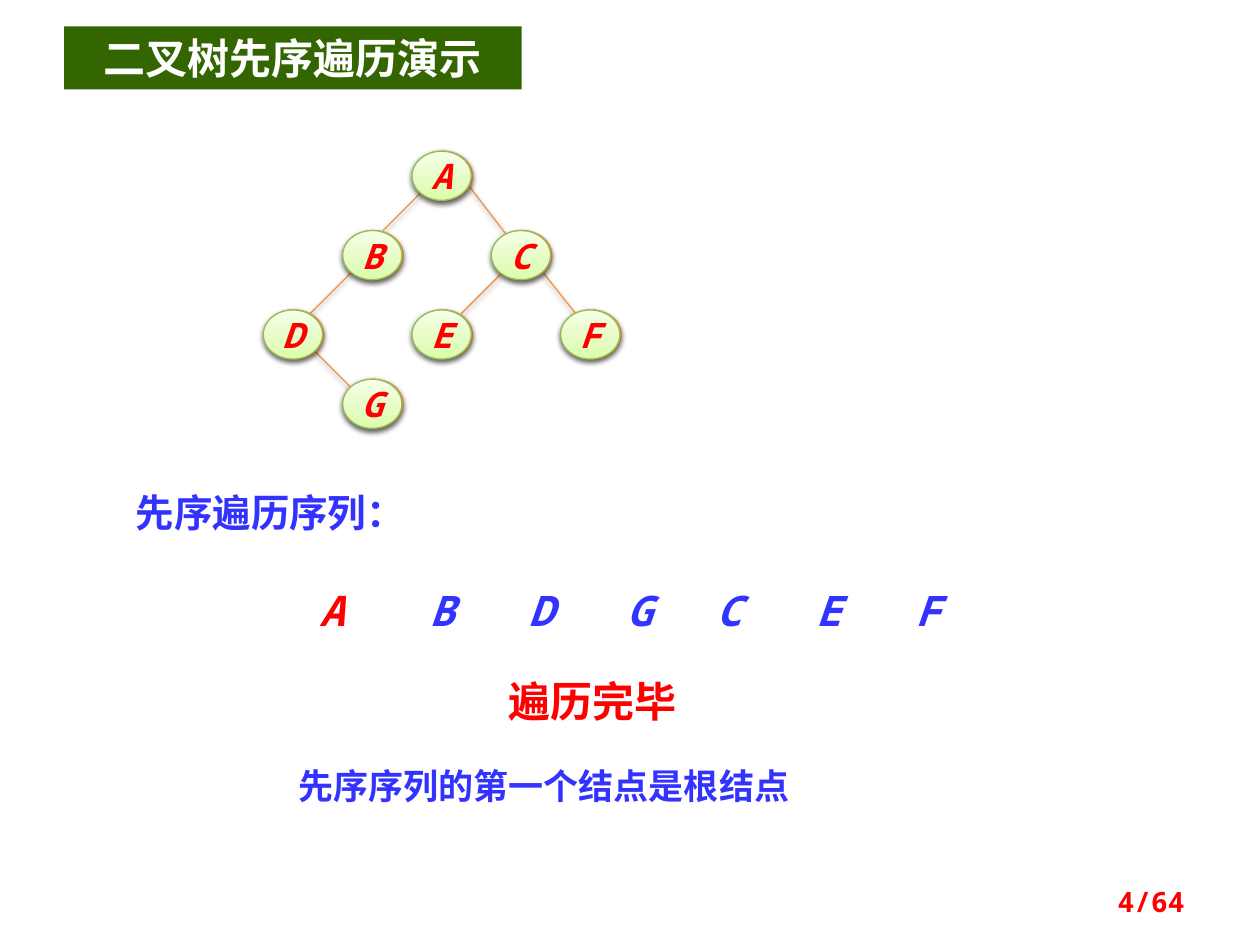
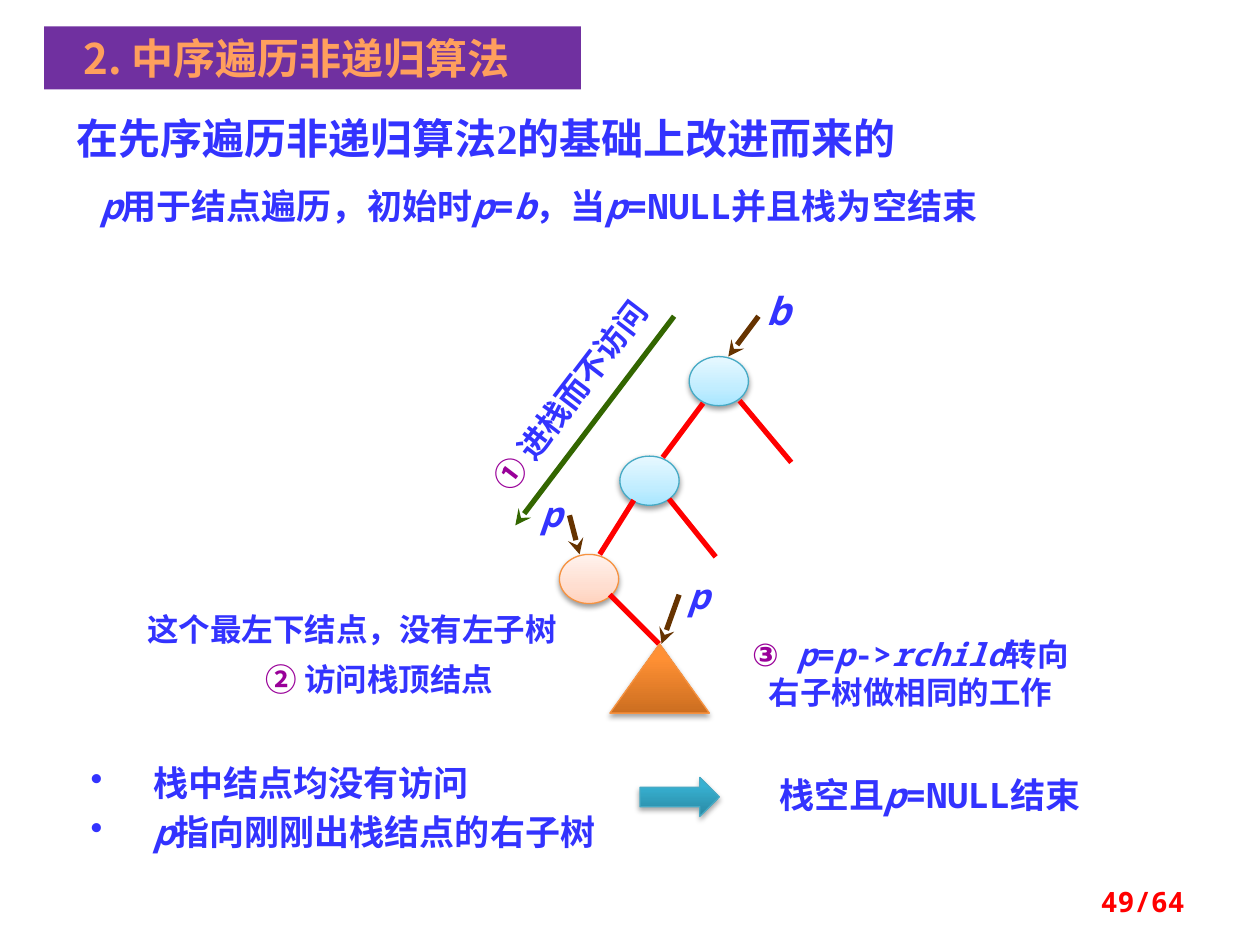
from lxml import etree
from pptx import Presentation
from pptx.dml.color import RGBColor
from pptx.enum import shapes, text
from pptx.oxml.ns import qn
from pptx.util import Inches, Pt

# Shared colours and fonts
BLUE = RGBColor(0x33, 0x33, 0xFF)
RED = RGBColor(0xFF, 0x00, 0x00)
GREEN = RGBColor(0x33, 0x66, 0x00)
BROWN = RGBColor(0x66, 0x33, 0x00)
PURPLE = RGBColor(0x70, 0x30, 0xA0)
MAGENTA = RGBColor(0x99, 0x00, 0x99)
WHITE = RGBColor(0xFF, 0xFF, 0xFF)
ORANGE_LINE = RGBColor(0xF6, 0x92, 0x40)
GREEN_LINE = RGBColor(0x98, 0xB9, 0x55)
CYAN_LINE = RGBColor(0x46, 0xAA, 0xC5)
BLACK = RGBColor(0, 0, 0)

# Gradient stops, from bottom to top: (percent, colour)
ORANGE_PALE = [(0, "FFD2BD"), (35, "FFDED0"), (100, "FFF2ED")]
GREEN_PALE = [(0, "DAFDA7"), (35, "E4FCC2"), (100, "F5FFE7")]
CYAN_PALE = [(0, "A7E6FF"), (35, "C1EDFF"), (100, "E7F8FF")]
ORANGE_DEEP = [(0, "CC6E20"), (80, "FF9034"), (100, "FF9136")]
CYAN_DEEP = [(0, "2A88A2"), (80, "37B1D2"), (100, "34B4D6")]
ORANGE_TEXT = [(0, "FFA367"), (25, "FF9F5D"), (50, "F38E3A"),
               (75, "FF9F5D"), (100, "FFA367")]

MONO = "Noto Sans Mono"
CJK = "Noto Sans CJK SC"
SERIF = "Times New Roman"
LEFT, CENTER, RIGHT = (text.PP_ALIGN.LEFT, text.PP_ALIGN.CENTER,
                       text.PP_ALIGN.RIGHT)
NODE_WIDTH, NODE_HEIGHT = 0.47, 0.39
PAGE_COUNT = 64


def set_gradient(fill, owner, stops, angle=270):
    """Give a fill, held by the XML element owner, several gradient stops."""
    fill.gradient()
    gradient = owner.find(qn("a:gradFill"))
    gradient.find(qn("a:lin")).set("ang", str(angle * 60000))
    stop_list = gradient.find(qn("a:gsLst"))
    for stop in list(stop_list):
        stop_list.remove(stop)
    for percent, color in stops:
        stop = etree.SubElement(stop_list, qn("a:gs"), pos=str(percent * 1000))
        etree.SubElement(stop, qn("a:srgbClr"), val=color)


def set_shadow(shape, opacity=0, blur=3.1, distance=1.6):
    """Set a soft shadow below the shape; no opacity means no shadow."""
    effects = etree.SubElement(shape._element.spPr, qn("a:effectLst"))
    if opacity:
        shadow = etree.SubElement(
            effects, qn("a:outerShdw"), blurRad=str(Pt(blur)),
            dist=str(Pt(distance)), dir="5400000", rotWithShape="0")
        color = etree.SubElement(shadow, qn("a:srgbClr"), val=str(BLACK))
        etree.SubElement(color, qn("a:alpha"), val=str(opacity * 1000))


def set_bullet(paragraph, indent=0.5):
    properties = paragraph._p.get_or_add_pPr()
    properties.set("marL", str(Inches(indent)))
    properties.set("indent", str(-Inches(indent)))
    bullet = etree.Element(qn("a:buChar"), char="•")
    default_font = properties.find(qn("a:defRPr"))
    default_font.addprevious(bullet)


def write(paragraph, content, size, color=BLUE, font=MONO, align=LEFT,
          bold=True, spacing=None):
    """Fill a paragraph; *stars* mean italic, a circled number is magenta."""
    paragraph.alignment = align
    if spacing:
        paragraph.line_spacing = spacing
    paragraph.font.name = font
    paragraph.font.size = Pt(size)
    paragraph.font.bold = bold
    paragraph.font.color.rgb = color
    if content[0] in "①②③":
        marker, content = content[:2], content[2:]
        run = paragraph.add_run()
        run.text = marker
        run.font.color.rgb = MAGENTA
    for index, part in enumerate(content.split("*")):
        if part:
            run = paragraph.add_run()
            run.text = part
            if index % 2:
                run.font.italic = True
    for latin in list(paragraph._p.iter(qn("a:latin"))):
        latin.addnext(etree.Element(qn("a:ea"), typeface=CJK))


def add_text(slide, box, content, size, margins=True, bullets=False,
             anchor=text.MSO_ANCHOR.TOP, **style):
    shape = slide.shapes.add_textbox(*map(Inches, box))
    frame = shape.text_frame
    frame.word_wrap = True
    frame.vertical_anchor = anchor
    if not margins:
        frame.margin_left = frame.margin_right = 0
        frame.margin_top = frame.margin_bottom = 0
    for index, line in enumerate(content.split("\n")):
        paragraph = frame.add_paragraph() if index else frame.paragraphs[0]
        write(paragraph, line, size, **style)
        if bullets:
            set_bullet(paragraph)
    return shape


def add_shape(slide, kind, box, stops, line_color, opacity=38, distance=1.6):
    shape = slide.shapes.add_shape(kind, *map(Inches, box))
    set_gradient(shape.fill, shape._element.spPr, stops)
    shape.line.color.rgb = line_color
    shape.line.width = Pt(0.75)
    set_shadow(shape, opacity, distance=distance)
    return shape


def add_node(slide, left, top, stops, line_color, label=""):
    box = (left, top, NODE_WIDTH, NODE_HEIGHT)
    node = add_shape(slide, shapes.MSO_SHAPE.OVAL, box, stops, line_color)
    if label:
        node.text_frame.word_wrap = False
        node.text_frame.vertical_anchor = text.MSO_ANCHOR.MIDDLE
        write(node.text_frame.paragraphs[0], f"*{label}*", 20, RED,
              align=CENTER)


def add_line(slide, points, color, width=3, arrow=False, opacity=0):
    line = slide.shapes.add_connector(
        shapes.MSO_CONNECTOR.STRAIGHT, *map(Inches, points))
    line.line.color.rgb = color
    line.line.width = Pt(width)
    if arrow:
        outline = line._element.spPr.find(qn("a:ln"))
        etree.SubElement(outline, qn("a:tailEnd"), type="stealth")
    set_shadow(line, opacity)


def add_slide(presentation, title, left, width, band, page):
    """Add a slide with its title band and page number."""
    slide = presentation.slides.add_slide(presentation.slide_layouts[5])
    shape = slide.shapes.title
    shape.left, shape.top = Inches(left), Inches(0.21)
    shape.width, shape.height = Inches(width), Inches(0.5)
    shape.fill.solid()
    shape.fill.fore_color.rgb = band
    frame = shape.text_frame
    frame.auto_size = text.MSO_AUTO_SIZE.NONE
    frame.vertical_anchor = text.MSO_ANCHOR.MIDDLE
    write(frame.paragraphs[0], title, 24, WHITE, CJK, CENTER)
    add_text(slide, (7.17, 6.95, 2.33, 0.4), f"{page}/{PAGE_COUNT}", 16,
             color=RED, align=RIGHT, anchor=text.MSO_ANCHOR.MIDDLE)
    return slide


def build_preorder(presentation):
    slide = add_slide(presentation, "二叉树先序遍历演示", 0.51, 3.63, GREEN, 4)

    # Tree edges
    for points in [(2.49, 2.78, 2.8, 3.09), (3.35, 1.52, 3.04, 1.83),
                   (3.71, 1.46, 4.04, 1.89), (2.8, 2.15, 2.41, 2.54),
                   (3.97, 2.18, 3.66, 2.49), (4.3, 2.15, 4.61, 2.54)]:
        add_line(slide, points, ORANGE_LINE, 0.75, opacity=38)

    # Tree nodes: a green face on an orange rim
    nodes = {"A": (3.27, 1.2), "B": (2.72, 1.83), "C": (3.9, 1.83),
             "D": (2.09, 2.46), "E": (3.27, 2.46), "G": (2.72, 3.01),
             "F": (4.45, 2.46)}
    for label, (left, top) in nodes.items():
        add_node(slide, left + 0.01, top, ORANGE_PALE, ORANGE_LINE)
        add_node(slide, left, top, GREEN_PALE, GREEN_LINE, label)

    # Visiting order
    add_text(slide, (0.98, 3.83, 2.84, 0.47), "先序遍历序列：", 22)
    sequence = {"A": 2.24, "B": 3.11, "D": 3.9, "G": 4.68, "C": 5.39,
                "E": 6.18, "F": 6.97}
    for label, left in sequence.items():
        add_text(slide, (left, 4.59, 0.79, 0.5), f"*{label}*", 24,
                 color=RED if label == "A" else BLUE, align=CENTER)

    # Conclusion
    add_text(slide, (3.36, 5.31, 2.68, 0.5), "遍历完毕", 24, color=RED,
             align=CENTER)
    add_text(slide, (2.27, 6.02, 5, 0.44), "先序序列的第一个结点是根结点", 20,
             font=CJK)


def build_inorder(presentation):
    slide = add_slide(presentation, "2. 中序遍历非递归算法", 0.35, 4.26,
                      PURPLE, 49)
    title = slide.shapes.title.text_frame
    title.margin_right = Inches(0.35)
    run = title.paragraphs[0].runs[0]
    set_gradient(run.font.fill, run._r.rPr, ORANGE_TEXT, 90)

    # Introduction
    add_text(slide, (0.51, 0.84, 6.93, 0.5),
             "在先序遍历非递归算法2的基础上改进而来的", 24, font=SERIF)
    add_text(slide, (0.7, 1.48, 8.31, 0.37),
             "*p*用于结点遍历，初始时*p*=*b*，当*p*=NULL并且栈为空结束", 20,
             spacing=0.8)

    # Tree
    add_node(slide, 5.47, 2.83, CYAN_PALE, CYAN_LINE)
    add_node(slide, 4.92, 3.62, CYAN_PALE, CYAN_LINE)
    add_node(slide, 4.44, 4.4, ORANGE_PALE, ORANGE_LINE)
    for points in [(5.58, 3.2, 5.26, 3.63), (5.03, 3.97, 4.76, 4.4),
                   (5.87, 3.18, 6.28, 3.67), (5.31, 3.96, 5.68, 4.42),
                   (4.84, 4.72, 5.23, 5.11)]:
        add_line(slide, points, RED)
    add_shape(slide, shapes.MSO_SHAPE.ISOSCELES_TRIANGLE,
              (4.84, 5.11, 0.79, 0.55), ORANGE_DEEP, ORANGE_LINE, 35, 1.8)

    # Pointers: label, its place and size, arrow
    for label, left, top, size, points in [
            ("b", 6.02, 2.28, 22, (6.02, 2.51, 5.78, 2.83)),
            ("p", 4.22, 3.91, 20, (4.52, 4.09, 4.6, 4.4)),
            ("p", 5.39, 4.56, 20, (5.39, 4.72, 5.25, 5.11))]:
        add_line(slide, points, BROWN, arrow=True)
        add_text(slide, (left, top, 0.31, 0.35), f"*{label}*", size,
                 margins=False, align=CENTER)

    # Steps
    add_line(slide, (5.35, 2.51, 4.09, 4.17), GREEN, arrow=True)
    step = add_text(slide, (3.41, 2.94, 2.23, 0.4), "① 进栈而不访问", 18,
                    font=SERIF, align=CENTER)
    step.rotation = 307.4
    add_text(slide, (1.17, 4.86, 3.36, 0.28), "这个最左下结点，没有左子树", 18,
             margins=False, font=SERIF, spacing=Pt(20))
    add_text(slide, (2.11, 5.26, 1.95, 0.28), "② 访问栈顶结点", 18,
             margins=False, font=SERIF, spacing=Pt(20))
    add_text(slide, (5.86, 5.04, 2.73, 0.61),
             "③ *p*=*p*->*rchild*转向右子树做相同的工作", 18,
             margins=False, align=CENTER)

    # Conclusion
    add_text(slide, (0.62, 5.94, 4.22, 0.89),
             "栈中结点均没有访问\n*p*指向刚刚出栈结点的右子树", 20,
             bullets=True, spacing=Pt(28))
    add_shape(slide, shapes.MSO_SHAPE.RIGHT_ARROW, (5.08, 6.17, 0.63, 0.31),
              CYAN_DEEP, CYAN_LINE, 35, 1.8)
    add_text(slide, (5.7, 6.09, 3.36, 0.44), "栈空且*p*=NULL结束", 20,
             align=CENTER)


def main():
    presentation = Presentation()
    presentation.slide_width = Inches(10)
    presentation.slide_height = Inches(7.5)
    build_preorder(presentation)
    build_inorder(presentation)
    presentation.save("out.pptx")


main()
